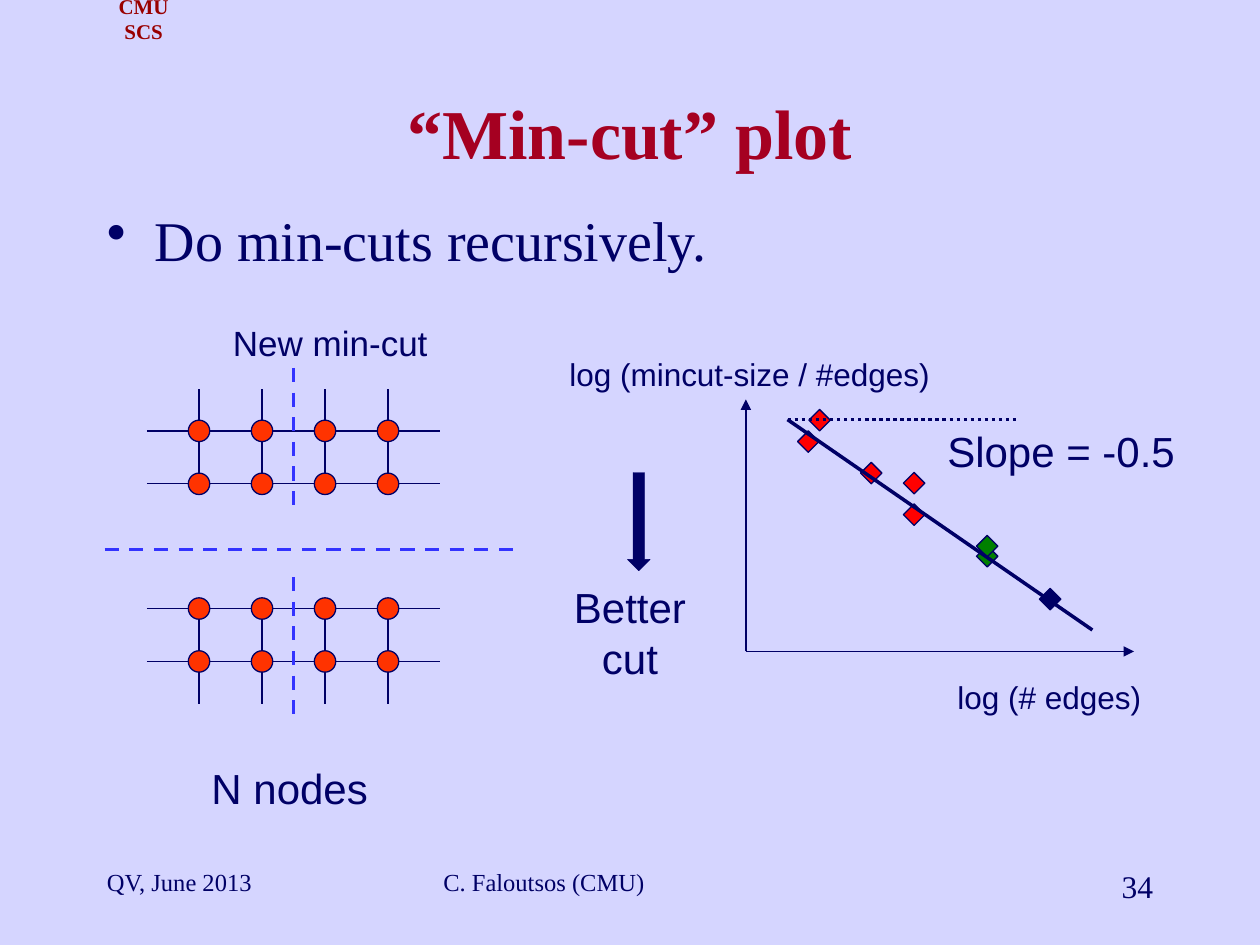
from lxml import etree
from pptx import Presentation
from pptx.dml.color import RGBColor
from pptx.enum.dml import MSO_LINE
from pptx.enum.shapes import MSO_CONNECTOR, MSO_SHAPE
from pptx.enum.text import MSO_ANCHOR, PP_ALIGN
from pptx.oxml.ns import qn
from pptx.util import Inches, Pt

LEFT, CENTER, RIGHT = PP_ALIGN.LEFT, PP_ALIGN.CENTER, PP_ALIGN.RIGHT
TOP, MIDDLE = MSO_ANCHOR.TOP, MSO_ANCHOR.MIDDLE
STRAIGHT = MSO_CONNECTOR.STRAIGHT
ELLIPSE, DIAMOND, DOWN_ARROW = MSO_SHAPE.OVAL, MSO_SHAPE.DIAMOND, MSO_SHAPE.DOWN_ARROW
DASH, DOTS = MSO_LINE.DASH, MSO_LINE.ROUND_DOT
SERIF, SANS = "Times New Roman", "Arial"
COLORS = {
    "background": "D5D5FF", "navy": "000066", "title": "A50021", "header": "990000",
    "node": "FF3300", "cut": "3333FF", "red": "FF0000", "green": "008000",
}
MARK = 0.17  # diameter of nodes and data points
COLUMN_PITCH = 0.5
COLUMNS = 4
FIRST_COLUMN = 1.58
ROW_GAP = 0.42
STUB = 0.25


def color(name):
    return RGBColor.from_string(COLORS[name])


def write_text(shape, text, size=24, font=SANS, color_name="navy", bold=False,
               align=LEFT, anchor=TOP, wrap=True, bullet=False):
    frame = shape.text_frame
    frame.word_wrap = wrap
    frame.vertical_anchor = anchor
    frame.text = text
    for paragraph in frame.paragraphs:
        paragraph.alignment = align
        if bullet:
            properties = paragraph._p.get_or_add_pPr()
            properties.set("marL", str(Inches(0.38)))
            properties.set("indent", str(Inches(-0.38)))
            etree.SubElement(properties, qn("a:buChar")).set("char", "•")
        for run in paragraph.runs:
            run.font.name = font
            run.font.size = Pt(size)
            run.font.bold = bold
            run.font.color.rgb = color(color_name)


def add_text(slide, text, left, top, width, height, **text_format):
    box = slide.shapes.add_textbox(Inches(left), Inches(top), Inches(width), Inches(height))
    write_text(box, text, **text_format)


def add_figure(slide, kind, left, top, fill, width=MARK, height=MARK, line_width=0.75):
    shape = slide.shapes.add_shape(kind, Inches(left), Inches(top), Inches(width), Inches(height))
    shape.shadow.inherit = False
    shape.fill.solid()
    shape.fill.fore_color.rgb = color(fill)
    shape.line.color.rgb = color("navy")
    shape.line.width = Pt(line_width)


def add_line(slide, start, end, color_name="navy", width=0.75, dash=None, arrow=False):
    connector = slide.shapes.add_connector(STRAIGHT, *(Inches(value) for value in (*start, *end)))
    connector.line.color.rgb = color(color_name)
    connector.line.width = Pt(width)
    if dash is not None:
        connector.line.dash_style = dash
    if arrow:
        etree.SubElement(connector.line._get_or_add_ln(), qn("a:tailEnd")).set("type", "triangle")
    etree.SubElement(connector._element.spPr, qn("a:effectLst"))


def add_lattice(slide, first_row, stub_direction):
    """Two rows of linked nodes; open stubs point up (-1) or down (1)."""
    radius = MARK / 2
    rows = [first_row, first_row + ROW_GAP]
    columns = [FIRST_COLUMN + index * COLUMN_PITCH for index in range(COLUMNS)]
    stub_start = (rows[0] if stub_direction < 0 else rows[1]) + stub_direction * radius
    for y in rows:
        for x in [columns[0] - COLUMN_PITCH] + columns:
            add_line(slide, (x + radius, y), (x + COLUMN_PITCH - radius, y))
    for x in columns:
        add_line(slide, (x, rows[0] + radius), (x, rows[1] - radius))
        add_line(slide, (x, stub_start), (x, stub_start + stub_direction * STUB))
        for y in rows:
            add_figure(slide, ELLIPSE, x - radius, y - radius, "node")


def add_graph(slide):
    add_lattice(slide, 3.42, -1)
    add_lattice(slide, 4.83, 1)
    for start, end in [((0.83, 4.36), (4.08, 4.36)),
                       ((2.33, 2.92), (2.33, 4.08)),
                       ((2.33, 4.58), (2.33, 5.75))]:
        add_line(slide, start, end, color_name="cut", width=2, dash=DASH)
    add_text(slide, "New min-cut", 1.75, 2.5, 2, 0.43, size=20)
    add_text(slide, "N nodes", 1.58, 6, 1.67, 0.5)


def add_plot(slide):
    origin = (5.92, 5.17)
    for end in [(9, 5.17), (5.92, 3.17)]:
        add_line(slide, origin, end, arrow=True)
    add_text(slide, "log (# edges)", 7.5, 5.33, 1.92, 0.4, size=18)
    add_text(slide, "log (mincut-size / #edges)", 4.42, 2.77, 3.33, 0.4, size=18)
    points = [
        (8.25, 4.67, "navy"), (7.75, 4.33, "green"), (7.75, 4.25, "green"),
        (7.17, 4, "red"), (7.17, 3.75, "red"), (6.83, 3.67, "red"),
        (6.33, 3.42, "red"), (6.42, 3.25, "red"),
    ]
    for left, top, fill in points:
        add_figure(slide, DIAMOND, left, top, fill)
    fit_start = (6.25, 3.33)
    add_line(slide, fit_start, (8.67, 5), width=2)
    add_line(slide, fit_start, (8.08, 3.33), width=2, dash=DOTS)
    add_text(slide, "Slope = -0.5", 7.42, 3.33, 2.33, 0.5)
    add_figure(slide, DOWN_ARROW, 4.98, 3.75, "navy", width=0.18, height=0.78, line_width=0.25)
    add_text(slide, "Better\ncut", 4.45, 4.57, 1.1, 0.94, align=CENTER, wrap=False)


def add_header_and_footer(slide):
    add_text(slide, "CMU SCS", 0.67, 0, 0.94, 0.3, size=12, font=SERIF, color_name="header",
             bold=True, align=CENTER, anchor=MIDDLE, wrap=False)
    add_text(slide, "QV, June 2013", 0.75, 6.83, 2.08, 0.5, size=14, font=SERIF)
    add_text(slide, "C. Faloutsos (CMU)", 3.42, 6.83, 3.17, 0.5, size=14, font=SERIF)
    add_text(slide, "34", 7.17, 6.83, 2.08, 0.5, size=18, font=SERIF, align=RIGHT)


def add_title(slide, text):
    title = slide.shapes.title
    title.left, title.top = Inches(0.75), Inches(0.67)
    title.width, title.height = Inches(8.5), Inches(0.75)
    write_text(title, text, size=40, font=SERIF, color_name="title", bold=True,
               align=CENTER, anchor=MIDDLE)


def main():
    presentation = Presentation()
    presentation.slide_width, presentation.slide_height = Inches(10), Inches(7.5)
    slide = presentation.slides.add_slide(presentation.slide_layouts[5])
    slide.background.fill.solid()
    slide.background.fill.fore_color.rgb = color("background")
    add_header_and_footer(slide)
    add_title(slide, "“Min-cut” plot")
    add_text(slide, "Do min-cuts recursively.", 0.75, 1.58, 8.5, 5.08,
             size=32, font=SERIF, bullet=True)
    add_graph(slide)
    add_plot(slide)
    presentation.save("out.pptx")


if __name__ == "__main__":
    main()
